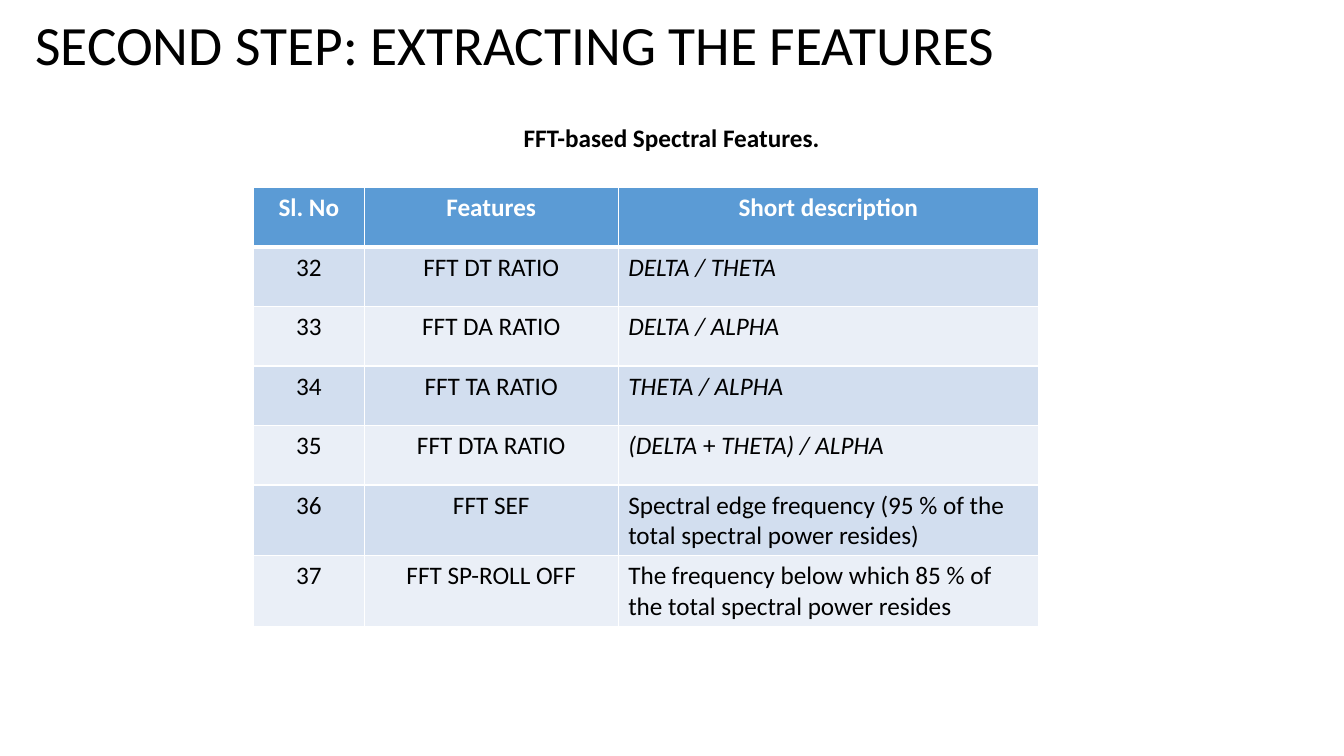
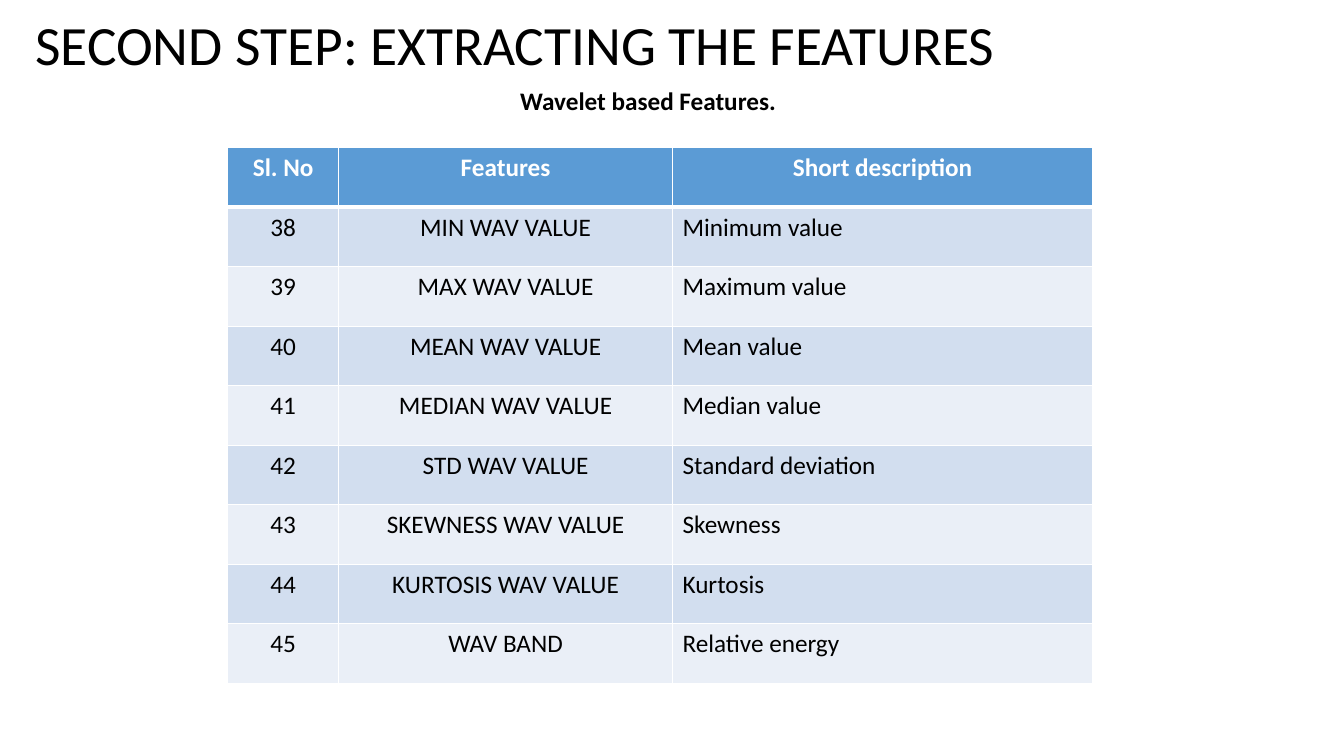
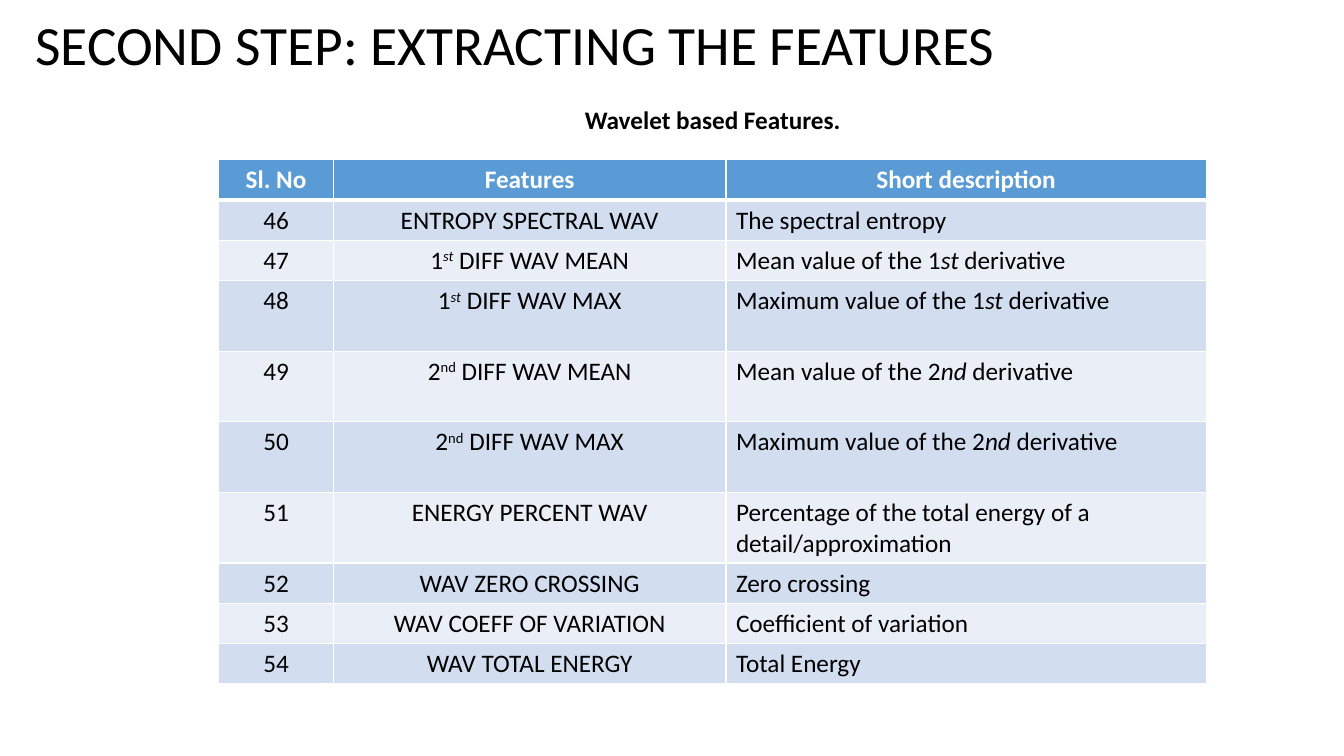
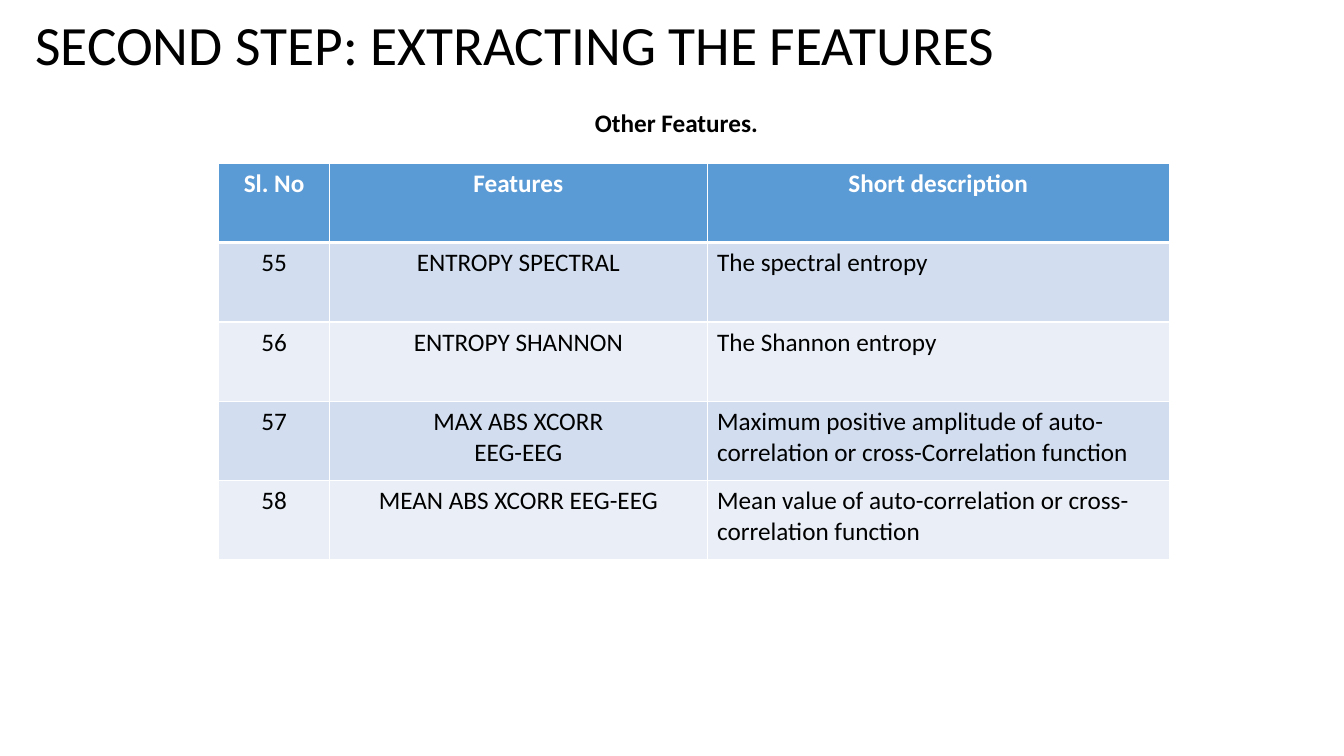
import pptx
import pptx.dml.color
import pptx.enum.text
import pptx.oxml
import pptx.oxml.ns
import pptx.util

Pt = pptx.util.Pt
RGBColor = pptx.dml.color.RGBColor
ALIGN = pptx.enum.text.PP_ALIGN
ANCHOR = pptx.enum.text.MSO_ANCHOR
AUTO_SIZE = pptx.enum.text.MSO_AUTO_SIZE

# Shared style
FONT = "Calibri"
BLACK = RGBColor(0x00, 0x00, 0x00)
WHITE = RGBColor(0xFF, 0xFF, 0xFF)
HEADER_BLUE = RGBColor(0x5B, 0x9B, 0xD5)
BANDS = [RGBColor(0xD2, 0xDE, 0xEF), RGBColor(0xEA, 0xEF, 0xF7)]
TITLE = "SECOND STEP: EXTRACTING THE FEATURES"
HEADER = ("Sl. No", "Features", "Short description")

# Row heights: one line, two lines, and the roomier rows
SHORT, TALL, ROOMY, LARGE = 28.7, 50.4, 42.5, 56.7

# In the texts, * switches italics and ^ switches superscript
PAGES = [
    dict(caption="FFT-based Spectral Features.", caption_at=(179.3, 83.5),
         table_at=(181, 134), columns=(79.2, 181.4, 300.2),
         heights=[ROOMY] * 5 + [TALL] * 2, first=32,
         rows=[("FFT DT RATIO", "*DELTA / THETA*"),
               ("FFT DA RATIO", "*DELTA / ALPHA*"),
               ("FFT TA RATIO", "*THETA / ALPHA*"),
               ("FFT DTA RATIO", "*(DELTA *+ *THETA) / ALPHA*"),
               ("FFT SEF", "Spectral edge frequency (95 % of the total spectral power resides)"),
               ("FFT SP-ROLL OFF",
                "The frequency below which 85 % of the total spectral power resides")]),
    dict(caption="Wavelet based Features.", caption_at=(162.5, 57.6),
         table_at=(162.7, 105.6), columns=(79.2, 238.5, 300.2),
         heights=[ROOMY] * 9, first=38,
         rows=[("MIN WAV VALUE", "Minimum value"),
               ("MAX WAV VALUE", "Maximum value"),
               ("MEAN WAV VALUE", "Mean value"),
               ("MEDIAN WAV VALUE", "Median value"),
               ("STD WAV VALUE", "Standard deviation"),
               ("SKEWNESS WAV VALUE", "Skewness"),
               ("KURTOSIS WAV VALUE", "Kurtosis"),
               ("WAV BAND", "Relative energy")]),
    dict(caption="Wavelet based Features.", caption_at=(208.6, 71.3),
         table_at=(156.2, 114), columns=(82, 280.4, 343.2),
         heights=[SHORT] * 3 + [TALL] * 4 + [SHORT] * 3, first=46,
         rows=[("ENTROPY SPECTRAL WAV", "The spectral entropy"),
               ("1^*st*^ DIFF WAV MEAN", "Mean value of the 1*st *derivative"),
               ("1^*st*^ DIFF WAV MAX", "Maximum value of the 1*st *derivative"),
               ("2^nd^ DIFF WAV MEAN", "Mean value of the 2*nd *derivative"),
               ("2^nd^ DIFF WAV MAX", "Maximum value of the 2*nd *derivative"),
               ("ENERGY PERCENT WAV",
                "Percentage of the total energy of a\ndetail/approximation"),
               ("WAV ZERO CROSSING", "Zero crossing"),
               ("WAV COEFF OF VARIATION", "Coefficient of variation"),
               ("WAV TOTAL ENERGY", "Total Energy")]),
    dict(caption="Other Features.", caption_at=(182.7, 73.2),
         table_at=(156.2, 116.6), columns=(79.2, 269.7, 330.2),
         heights=[LARGE] * 5, first=55,
         rows=[("ENTROPY SPECTRAL", "The spectral entropy"),
               ("ENTROPY SHANNON", "The Shannon entropy"),
               ("MAX ABS XCORR\nEEG-EEG",
                "Maximum positive amplitude of auto-correlation or cross-Correlation function"),
               ("MEAN ABS XCORR EEG-EEG",
                "Mean value of auto-correlation or cross-correlation function")]),
]


def write(frame, text, size=18, color=BLACK, bold=False, align=ALIGN.CENTER, spacing=1.0):
    frame.word_wrap = True
    for number, line in enumerate(text.split("\n")):
        para = frame.add_paragraph() if number else frame.paragraphs[0]
        para.alignment = align
        para.line_spacing = spacing
        raised = False
        italic = False
        for raised_part in line.split("^"):
            for part in raised_part.split("*"):
                if part:
                    span = para.add_run()
                    span.text = part
                    span.font.name = FONT
                    span.font.size = Pt(size)
                    span.font.color.rgb = color
                    span.font.bold = bold
                    span.font.italic = italic
                    if raised:
                        span.font._element.set("baseline", "30000")
                italic = not italic
            italic = False
            raised = not raised


def add_borders(cell, top=1, bottom=1):
    properties = cell._tc.get_or_add_tcPr()
    widths = {"lnL": 1, "lnR": 1, "lnT": top, "lnB": bottom}
    for place, (side, width) in enumerate(widths.items()):
        properties.insert(place, pptx.oxml.parse_xml(
            f'<a:{side} {pptx.oxml.ns.nsdecls("a")} w="{Pt(width)}">'
            f'<a:solidFill><a:srgbClr val="{WHITE}"/></a:solidFill></a:{side}>'))


deck = pptx.Presentation()
deck.slide_width = Pt(960)
deck.slide_height = Pt(540)

for content in PAGES:
    page = deck.slides.add_slide(deck.slide_layouts[5])

    # Title
    title = page.shapes.title
    title.left, title.top, title.width, title.height = Pt(18), Pt(9.4), Pt(828), Pt(49)
    title.text_frame.auto_size = AUTO_SIZE.NONE
    title.text_frame.vertical_anchor = ANCHOR.MIDDLE
    write(title.text_frame, TITLE, size=39.6, align=ALIGN.LEFT, spacing=0.9)

    # Caption
    left, top = content["caption_at"]
    box = page.shapes.add_textbox(Pt(left), Pt(top), Pt(601), Pt(29))
    write(box.text_frame, content["caption"], bold=True)

    # Feature table
    rows = [HEADER] + [(str(number), *row)
                       for number, row in enumerate(content["rows"], content["first"])]
    left, top = content["table_at"]
    table = page.shapes.add_table(
        len(rows), len(HEADER), Pt(left), Pt(top),
        Pt(sum(content["columns"])), Pt(sum(content["heights"]))).table
    table.horz_banding = False
    for column, width in zip(table.columns, content["columns"]):
        column.width = Pt(width)
    for row_number, (row, height) in enumerate(zip(rows, content["heights"])):
        table.rows[row_number].height = Pt(height)
        is_header = row_number == 0
        for column_number, text in enumerate(row):
            cell = table.cell(row_number, column_number)
            cell.fill.solid()
            cell.fill.fore_color.rgb = HEADER_BLUE if is_header else BANDS[(row_number - 1) % 2]
            add_borders(cell, top=3 if row_number == 1 else 1, bottom=3 if is_header else 1)
            centred = is_header or column_number < 2
            write(cell.text_frame, text, color=WHITE if is_header else BLACK, bold=is_header,
                  align=ALIGN.CENTER if centred else ALIGN.LEFT)

deck.save("out.pptx")
